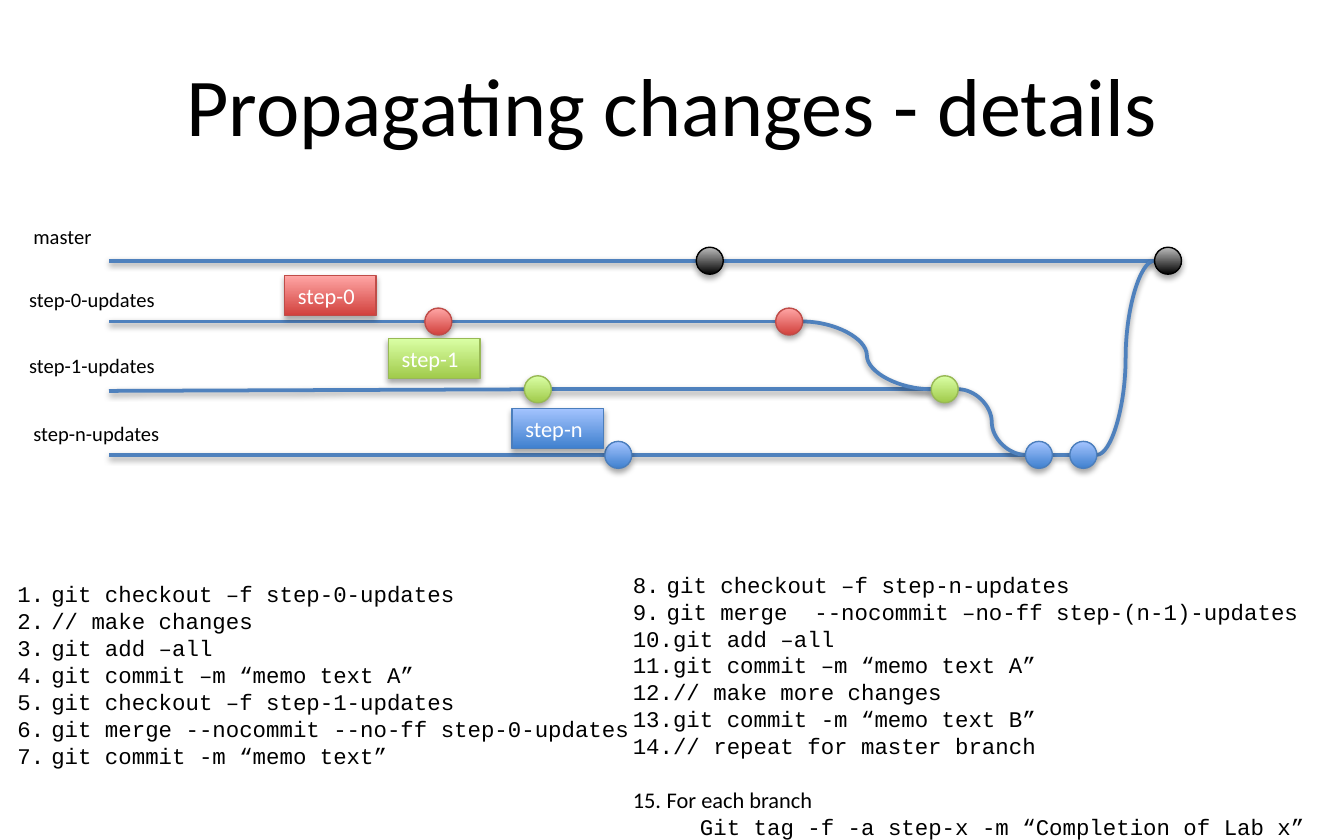
from dataclasses import dataclass
from itertools import pairwise

from lxml.etree import SubElement
from pptx import Presentation
from pptx.dml.color import RGBColor
from pptx.enum.shapes import MSO_CONNECTOR, MSO_SHAPE
from pptx.enum.text import MSO_ANCHOR, PP_ALIGN
from pptx.oxml.ns import qn
from pptx.util import Cm, Pt

BLACK = RGBColor(0x00, 0x00, 0x00)
WHITE = RGBColor(0xFF, 0xFF, 0xFF)
BRANCH_BLUE = RGBColor(0x4F, 0x81, 0xBD)
GRAY = (BLACK, RGBColor(0xBD, 0xBD, 0xBD), BLACK)
RED = (RGBColor(0xD1, 0x40, 0x3C), RGBColor(0xFF, 0xA6, 0xA5), RGBColor(0xBF, 0x4C, 0x48))
GREEN = (RGBColor(0xA0, 0xCA, 0x4A), RGBColor(0xDA, 0xFF, 0xA5), RGBColor(0x98, 0xB9, 0x55))
BLUE = (RGBColor(0x3F, 0x80, 0xCE), RGBColor(0xA4, 0xC4, 0xFF), RGBColor(0x4B, 0x7E, 0xBC))

DOT = 0.51
BRANCH_START = 2.06
LINE_PITCH = Pt(14.4)


@dataclass
class Branch:
    name: str
    label_at: tuple
    y: float
    start_y: float
    commits: tuple
    palette: tuple
    tag: str = ""
    tag_at: tuple = ()


BRANCHES = [
    Branch("master", (0.38, 4.09), 4.93, 4.93, (13.16, 21.82), GRAY),
    Branch("step-0-updates", (0.3, 5.28), 6.08, 6.08, (8.03, 14.66), RED, "step-0", (5.38, 5.21)),
    Branch("step-1-updates", (0.3, 6.53), 7.36, 7.39, (9.91, 17.6), GREEN, "step-1", (7.34, 6.4)),
    Branch("step-n-updates", (0.38, 7.82), 8.6, 8.6, (11.43, 19.38, 20.22), BLUE, "step-n", (9.68, 7.72)),
]

FIRST_COMMANDS = [
    "git checkout –f step-0-updates",
    "// make changes",
    "git add –all",
    "git commit –m “memo text A”",
    "git checkout –f step-1-updates",
    "git merge --nocommit --no-ff step-0-updates",
    "git commit -m “memo text”",
]
LAST_COMMANDS = [
    "git checkout –f step-n-updates",
    "git merge  --nocommit –no-ff step-(n-1)-updates",
    "git add –all",
    "git commit –m “memo text A”",
    "// make more changes",
    "git commit -m “memo text B”",
    "// repeat for master branch",
]


def apply(target, values):
    for key, value in values.items():
        setattr(target, key, value)


@dataclass
class GitSlide:
    slide: object
    body_font: str = "Calibri"
    code_font: str = "Courier New"

    def add_words(self, paragraph, words, size, color=BLACK, font=None):
        run = paragraph.add_run()
        run.text = words
        apply(run.font, {"size": Pt(size), "name": font or self.body_font})
        run.font.color.rgb = color

    def shade(self, effects, distance, opacity):
        shadow = SubElement(effects, qn("a:outerShdw"), blurRad="40000", dist=str(distance),
                            dir="5400000", rotWithShape="0")
        color = SubElement(shadow, qn("a:srgbClr"), val="000000")
        SubElement(color, qn("a:alpha"), val=str(opacity * 1000))

    def label(self, box, words, size, **paragraph_format):
        frame = self.slide.shapes.add_textbox(*map(Cm, box)).text_frame
        apply(frame, {"word_wrap": True, "vertical_anchor": MSO_ANCHOR.MIDDLE})
        apply(frame.paragraphs[0], paragraph_format)
        self.add_words(frame.paragraphs[0], words, size)

    def block(self, kind, box, palette, words=""):
        dark, light, edge = palette
        block = self.slide.shapes.add_shape(kind, *map(Cm, box))
        block.fill.gradient()
        block.fill.gradient_angle = 90
        for stop, color in zip(block.fill.gradient_stops, (dark, light)):
            stop.color.rgb = color
        block.line.color.rgb = edge
        block.line.width = Pt(0.75)
        block.shadow.inherit = False
        self.shade(block._element.spPr.find(qn("a:effectLst")), 23000, 35)
        if words:
            frame = block.text_frame
            apply(frame, {"word_wrap": True, "vertical_anchor": MSO_ANCHOR.MIDDLE})
            frame.paragraphs[0].alignment = PP_ALIGN.LEFT
            self.add_words(frame.paragraphs[0], words, 12, WHITE)

    def link(self, begin, end, kind=MSO_CONNECTOR.STRAIGHT):
        link = self.slide.shapes.add_connector(kind, *map(Cm, begin + end))
        link.line.color.rgb = BRANCH_BLUE
        link.line.width = Pt(2)
        self.shade(SubElement(link._element.spPr, qn("a:effectLst")), 20000, 38)

    def next_paragraph(self, frame, indent, hanging, **paragraph_format):
        first = frame.paragraphs[0]
        paragraph = frame.add_paragraph() if first.runs else first
        apply(paragraph, {"line_spacing": LINE_PITCH, **paragraph_format})
        properties = paragraph._p.get_or_add_pPr()
        properties.set("marL", str(Cm(indent)))
        properties.set("indent", str(Cm(-hanging)))
        return paragraph

    def numbered(self, frame, words, start, font=None, **paragraph_format):
        paragraph = self.next_paragraph(frame, 0.64, 0.64, **paragraph_format)
        SubElement(paragraph._p.pPr, qn("a:buFont"), typeface="+mj-lt")
        SubElement(paragraph._p.pPr, qn("a:buAutoNum"), type="arabicPeriod", startAt=str(start))
        self.add_words(paragraph, words, 12, font=font)

    def commands(self, box, lines, start):
        frame = self.slide.shapes.add_textbox(*map(Cm, box)).text_frame
        frame.word_wrap = True
        for line in lines:
            self.numbered(frame, line, start, self.code_font)
        return frame


def main():
    deck = Presentation()
    apply(deck, {"slide_width": Cm(25.4), "slide_height": Cm(15.88)})
    page = GitSlide(deck.slides.add_slide(deck.slide_layouts[6]))
    page.label((1.27, 0.64, 22.86, 2.64), "Propagating changes - details", 44,
               alignment=PP_ALIGN.CENTER)

    for branch in BRANCHES:
        page.link((BRANCH_START, branch.start_y), (branch.commits[0], branch.y))
        for left, right in pairwise(branch.commits):
            page.link((left + DOT, branch.y), (right, branch.y))

    master, step_0, step_1, step_n = BRANCHES
    merges = [(master, 1, step_n, 2), (step_n, 1, step_1, 1), (step_1, 1, step_0, 1)]
    for target, target_commit, source, source_commit in merges:
        page.link((target.commits[target_commit], target.y),
                  (source.commits[source_commit] + DOT, source.y), MSO_CONNECTOR.CURVE)

    for branch in BRANCHES:
        page.label((*branch.label_at, 5.51, 0.74), branch.name, 11)
        for left in branch.commits:
            page.block(MSO_SHAPE.OVAL, (left, branch.y - DOT / 2, DOT, DOT), branch.palette)
        if branch.tag:
            page.block(MSO_SHAPE.RECTANGLE, (*branch.tag_at, 1.73, 0.76), branch.palette, branch.tag)

    page.commands((0.08, 10.85, 17.5, 3.84), FIRST_COMMANDS, 1)
    last = page.commands((11.71, 10.67, 17.5, 5.38), LAST_COMMANDS, 8)
    page.numbered(last, "For each branch", 8, space_before=LINE_PITCH)
    tagging = page.next_paragraph(last, 1.27, 0, level=1)
    page.add_words(tagging, "Git tag -f -a step-x -m “Completion of Lab x”", 12, font=page.code_font)

    deck.save("out.pptx")


if __name__ == "__main__":
    main()
